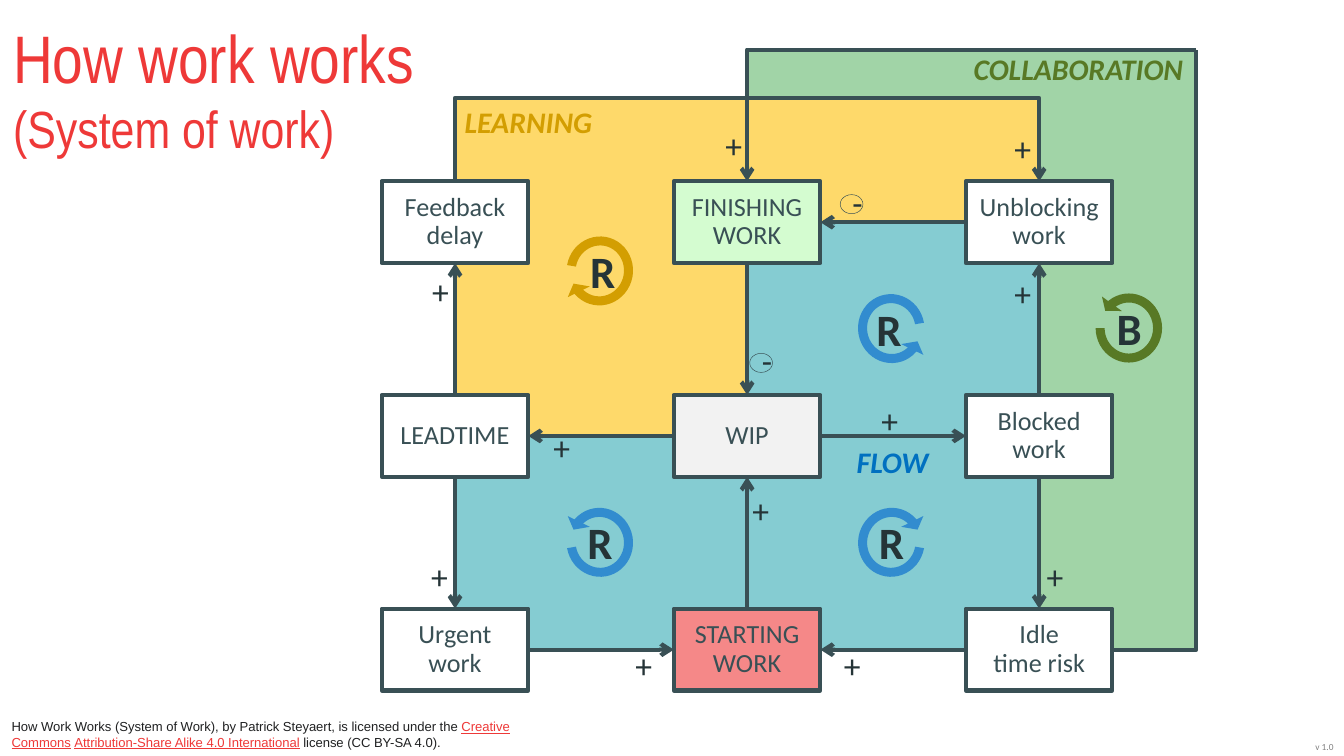
from lxml import etree
from pptx import Presentation
from pptx import util as u
from pptx.dml.color import RGBColor
from pptx.enum import shapes, text
from pptx.oxml import ns

Cm, Pt = u.Cm, u.Pt
SHAPE, ALIGN = shapes.MSO_SHAPE, text.PP_ALIGN


class Theme:
    red, ink, outline, black, grey = "EE3938", "253437", "395055", "202122", "808080"
    green, yellow, teal = "A1D4A7", "FED96A", "85CCD2"
    olive, gold, blue, flow = "587925", "D39E01", "328CCF", "0070C0"
    white, mint, pale, coral = "FFFFFF", "D4FCD0", "F2F2F2", "F58888"
    title, subtitle, letter, sign, loop, box, licence, version = 36, 28, 24, 18, 16, 14, 7, 5
    body, heading, small = "Calibri", "Arial Narrow", "Arial"


def draw(kind, x, y, width, height, fill=None, weight=None):
    shape = slide.shapes.add_shape(kind, Cm(x), Cm(y), Cm(width), Cm(height))
    shape.shadow.inherit = False
    if fill:
        shape.fill.solid()
        shape.fill.fore_color.rgb = RGBColor.from_string(fill)
    else:
        shape.fill.background()
    if weight:
        shape.line.color.rgb = RGBColor.from_string(Theme.outline)
        shape.line.width = Pt(weight)
    else:
        shape.line.fill.background()
    return shape


def style(runs, size, color, font=Theme.body, bold=False, italic=False):
    for run in runs:
        run.font.name, run.font.size = font, Pt(size)
        run.font.bold, run.font.italic = bold, italic
        run.font.color.rgb = RGBColor.from_string(color)


prs = Presentation()
prs.slide_width, prs.slide_height = Cm(25.4), Cm(14.29)
slide = prs.slides.add_slide(prs.slide_layouts[6])

# Grid of box centres, and the outer edges of the loops
columns = [8.6 + 5.52 * i for i in range(3)]
rows = [4.2 + 4.04 * i for i in range(3)]
box_w, box_h = 2.77, 1.55
left, middle, right = columns
top, centre, bottom = rows
learning_top, collab_top, collab_right = 1.85, 0.94, 22.61

# Loop areas
for x1, y1, x2, y2, color in [
    (middle, collab_top, collab_right, bottom, Theme.green),
    (left, learning_top, right, centre, Theme.yellow),
    (middle, top, right, centre, Theme.teal),
    (left, centre, middle, bottom, Theme.teal),
    (middle, centre, right, bottom, Theme.teal),
]:
    draw(SHAPE.RECTANGLE, x1, y1, x2 - x1, y2 - y1, color)

# Work boxes: column, row, words, fill, side inset
for col, row, words, color, inset in [
    (0, 0, "Feedback delay", Theme.white, 0.1),
    (1, 0, "FINISHING WORK", Theme.mint, 0.25),
    (2, 0, "Unblocking work", Theme.white, 0.1),
    (0, 1, "LEADTIME", Theme.white, 0.25),
    (1, 1, "WIP", Theme.pale, 0.1),
    (2, 1, "Blocked work", Theme.white, 0.25),
    (0, 2, "Urgent work", Theme.white, 0.25),
    (1, 2, "STARTING WORK", Theme.coral, 0.25),
    (2, 2, "Idle\ntime risk", Theme.white, 0.25),
]:
    box = draw(SHAPE.RECTANGLE, columns[col] - box_w / 2, rows[row] - box_h / 2,
               box_w, box_h, color, 2.25)
    frame = box.text_frame
    frame.text = words
    frame.margin_left = frame.margin_right = Cm(inset)
    frame.vertical_anchor = text.MSO_ANCHOR.MIDDLE
    for paragraph in frame.paragraphs:
        paragraph.alignment, paragraph.line_spacing = ALIGN.CENTER, 0.9
        style(paragraph.runs, Theme.box, Theme.outline)

# Straight arrows between neighbouring boxes, from edge to edge
links = []
for (col1, row1), (col2, row2) in [
    ((0, 1), (0, 0)), ((0, 1), (0, 2)), ((0, 2), (1, 2)), ((1, 2), (1, 1)),
    ((1, 1), (0, 1)), ((1, 1), (2, 1)), ((1, 0), (1, 1)), ((2, 0), (1, 0)),
    ((2, 1), (2, 0)), ((2, 1), (2, 2)), ((2, 2), (1, 2)),
]:
    dx, dy = (col2 - col1) * box_w / 2, (row2 - row1) * box_h / 2
    link = slide.shapes.add_connector(
        shapes.MSO_CONNECTOR.STRAIGHT,
        Cm(columns[col1] + dx), Cm(rows[row1] + dy),
        Cm(columns[col2] - dx), Cm(rows[row2] - dy))
    links.append((link, True))

# Routes with corners around the learning and collaboration loops
box_top = top - box_h / 2
for points, has_arrow in [
    ([(right + box_w / 2, bottom), (collab_right, bottom), (collab_right, collab_top)], False),
    ([(collab_right, collab_top), (middle, collab_top), (middle, box_top)], True),
    ([(left, box_top), (left, learning_top), (right, learning_top), (right, box_top)], True),
]:
    corners = [(Cm(x), Cm(y)) for x, y in points]
    builder = slide.shapes.build_freeform(*corners[0])
    builder.add_line_segments(corners[1:], close=False)
    route = builder.convert_to_shape()
    route.fill.background()
    links.append((route, has_arrow))

for link, has_arrow in links:
    link.line.color.rgb = RGBColor.from_string(Theme.outline)
    link.line.width = Pt(2.25)
    properties = link._element.spPr
    if has_arrow:
        etree.SubElement(properties.find(ns.qn("a:ln")), ns.qn("a:tailEnd"), type="arrow")
    etree.SubElement(properties, ns.qn("a:effectLst"))

# Labels: x, y, width, height, words, size, colour, bold, italic, alignment, wrap
labels = [
    (16.64, 0.84, 5.97, 0.94, "COLLABORATION", Theme.loop, Theme.olive, True, True, ALIGN.RIGHT, True),
    (8.53, 1.83, 3.96, 0.94, "LEARNING", Theme.loop, Theme.gold, True, True, ALIGN.LEFT, True),
    (15.6, 8.26, 2.54, 0.94, "FLOW", Theme.loop, Theme.flow, True, True, ALIGN.CENTER, True),
    (24.61, 13.89, 0.86, 0.48, "v 1.0", Theme.version, Theme.grey, False, False, ALIGN.LEFT, False),
]

# Loop symbols: centre, letter, letter shift, colour, rotation, flips
for x, y, letter, shift, color, rotation, flips in [
    (16.85, 6.21, "R", -0.05, Theme.blue, 169.8, ["flipV"]),
    (11.34, 10.25, "R", 0, Theme.blue, 169.8, ["flipH"]),
    (16.85, 10.25, "R", 0, Theme.blue, 190.2, []),
    (11.34, 5.12, "R", 0.05, Theme.gold, 190.2, ["flipH", "flipV"]),
    (21.34, 6.2, "B", 0, Theme.olive, 180, ["flipH"]),
]:
    loop = draw(SHAPE.CIRCULAR_ARROW, x - 0.78, y - 0.8, 1.55, 1.6, color)
    for i, value in enumerate([0.11, 11.42, 74.95, 108, 0.15]):
        loop.adjustments[i] = value
    loop.rotation = rotation
    for flip in flips:
        loop._element.spPr.find(ns.qn("a:xfrm")).set(flip, "1")
    labels.append((x + shift - 0.5, y - 0.64, 1, 1.27, letter, Theme.letter, Theme.ink,
                   True, False, ALIGN.CENTER, False))

# Plus and minus signs
for x, y in [
    (7.92, 5), (7.9, 10.39), (11.76, 12.07), (15.7, 12.07), (13.46, 2.24), (13.97, 9.14),
    (10.21, 7.95), (18.92, 5.03), (19.53, 10.39), (16.41, 7.44), (18.92, 2.29),
]:
    labels.append((x, y, 0.84, 1.02, "+", Theme.sign, Theme.ink, False, False, ALIGN.LEFT, False))
for x, y in [(14.17, 6.68), (15.88, 3.68)]:
    draw(SHAPE.OVAL, x, y, 0.43, 0.36, weight=0.25)
    labels.append((x, y - 0.37, 0.48, 0.91, "-", Theme.sign, Theme.ink,
                   False, False, ALIGN.CENTER, False))

for x, y, width, height, words, size, color, bold, italic, align, wrap in labels:
    frame = slide.shapes.add_textbox(Cm(x), Cm(y), Cm(width), Cm(height)).text_frame
    frame.text = words
    frame.word_wrap = wrap
    frame.auto_size = text.MSO_AUTO_SIZE.SHAPE_TO_FIT_TEXT
    frame.paragraphs[0].alignment = align
    style(frame.paragraphs[0].runs, size, color, bold=bold, italic=italic)

# Title
title = slide.shapes.add_textbox(Cm(0), Cm(0.18), Cm(8.59), Cm(1.27)).text_frame
title.word_wrap = True
title.paragraphs[0].text = "How work works\v(System of work)"
main_run, sub_run = title.paragraphs[0].runs
style([main_run], Theme.title, Theme.red, Theme.heading)
style([sub_run], Theme.subtitle, Theme.red, Theme.heading)

# Licence line
licence = slide.shapes.add_textbox(Cm(-0.03), Cm(13.46), Cm(10.24), Cm(0.86)).text_frame
licence.word_wrap = True
for words, is_link in [
    ("How Work Works (System of Work), by Patrick Steyaert, is licensed under the ", False),
    ("Creative Commons", True),
    (" ", False),
    ("Attribution-Share Alike 4.0 International", True),
    (" license (CC BY-SA 4.0).", False),
]:
    run = licence.paragraphs[0].add_run()
    run.text = words
    style([run], Theme.licence, Theme.red if is_link else Theme.black, Theme.small)
    run.font.underline = is_link

prs.save("out.pptx")
